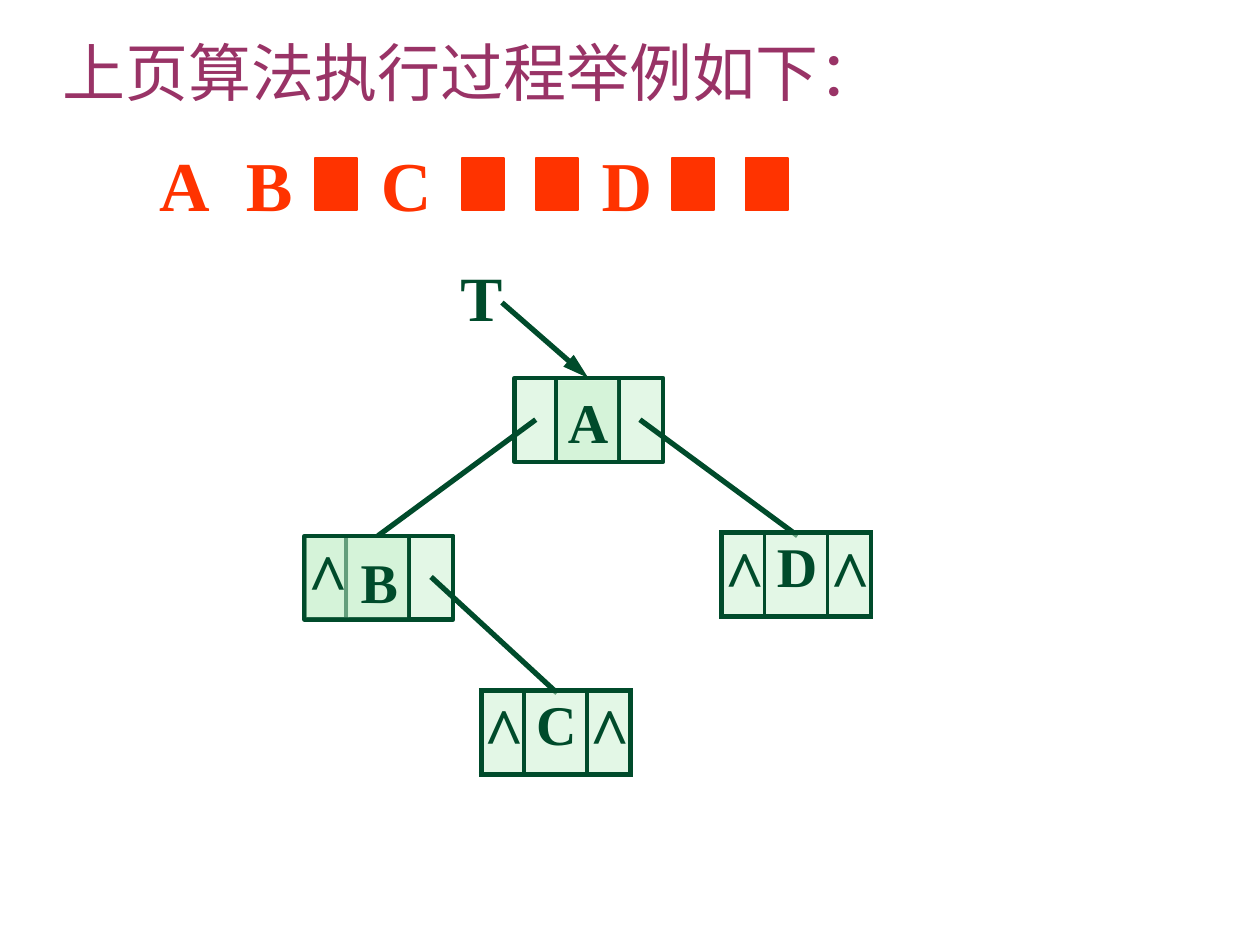
"""Build the slide that traces the creation of a binary linked tree."""
from dataclasses import dataclass
from typing import NamedTuple, Optional

from lxml.etree import SubElement
from pptx import Presentation
from pptx.dml.color import RGBColor as Rgb
from pptx.enum.shapes import MSO_CONNECTOR as Connector, MSO_SHAPE as Preset
from pptx.enum.text import MSO_ANCHOR as Anchor
from pptx.oxml.ns import qn
from pptx.util import Cm, Pt


@dataclass(frozen=True)
class Theme:
    """Colours, fonts and type sizes of the slide."""
    heading: str = "993366"
    sequence: str = "FF3300"
    ink: str = "004B2B"
    cell: str = "C9F1CE"
    cell_alpha: int = 50000
    serif: str = "Times New Roman"
    sans: str = "Noto Sans CJK SC"
    large: int = 40
    medium: int = 36
    small: int = 32


class Box(NamedTuple):
    """A rectangle in centimetres."""
    left: float
    top: float
    width: float
    height: float

    def lengths(self) -> list:
        """Give the four sides as lengths."""
        return [Cm(side) for side in self]


class PointerNode(NamedTuple):
    """A tree node with at least one child."""
    letter: str
    left: float
    top: float
    indent: float
    rise: float
    empty_left: bool


class Leaf(NamedTuple):
    """A tree node whose two pointers are empty."""
    letter: str
    left: float
    top: float


class Link(NamedTuple):
    """A line from one point to another in centimetres."""
    x1: float
    y1: float
    x2: float
    y2: float


THEME = Theme()
EMPTY = "^"
NODE_WIDTH, NODE_HEIGHT = 3.0, 1.69
DIVIDERS = (0.84, 2.11)
LEAF_COLUMNS = (0.86, 1.27, 0.88)
BLANK_MARKS = (6.35, 9.31, 10.8, 13.55, 15.03)
SEQUENCE_TABS = (1.75, 4.47, 8.92)
POINTER_NODES = (
    PointerNode("A", 10.37, 7.62, 0.2, 0.15, False),
    PointerNode("B", 6.14, 10.8, 0.25, 0.18, True),
)
LEAVES = (Leaf("C", 9.7, 13.92), Leaf("D", 14.55, 10.74))
LINKS = (
    Link(10.8, 8.46, 7.62, 10.8),
    Link(8.69, 11.63, 11.23, 13.97),
    Link(12.9, 8.46, 16.08, 10.8),
)


def write(frame, text: str, *, size: int, color: str = THEME.ink, font: str = THEME.serif,
          bold: bool = True, exact: Optional[float] = None, tabs: tuple = ()) -> None:
    """Put one formatted line of text into a text frame."""
    paragraph = frame.paragraphs[0]
    if tabs:
        tab_list = SubElement(paragraph._p.get_or_add_pPr(), qn("a:tabLst"))
        for stop in tabs:
            SubElement(tab_list, qn("a:tab"), pos=str(int(Cm(stop))), algn="l")
    if exact:
        paragraph.line_spacing = Pt(exact)
    run = paragraph.add_run()
    run.text = text
    run.font.name, run.font.size, run.font.bold = font, Pt(size), bold
    run.font.color.rgb = Rgb.from_string(color)
    SubElement(run._r.get_or_add_rPr(), qn("a:ea"), typeface=font)


def set_insets(holder, left: float, top: float, anchor=Anchor.TOP) -> None:
    """Set the margins and anchor of a text frame or table cell."""
    holder.margin_left, holder.margin_top = Cm(left), Cm(top)
    holder.margin_right = holder.margin_bottom = 0
    holder.vertical_anchor = anchor


def tint(filled, properties) -> None:
    """Fill a shape or cell with the half-transparent cell colour."""
    filled.fill.solid()
    filled.fill.fore_color.rgb = Rgb.from_string(THEME.cell)
    color = properties.find(qn("a:solidFill")).find(qn("a:srgbClr"))
    SubElement(color, qn("a:alpha"), val=str(THEME.cell_alpha))


def add_label(slide, box: Box, text: str, **style) -> None:
    """Add a text box whose line sits on its lower edge."""
    frame = slide.shapes.add_textbox(*box.lengths()).text_frame
    frame.word_wrap = True
    set_insets(frame, 0.03, 0.03, Anchor.BOTTOM)
    write(frame, text, **style)


def add_rect(slide, box: Box):
    """Add a rectangle without shadow or outline."""
    rect = slide.shapes.add_shape(Preset.RECTANGLE, *box.lengths())
    rect.shadow.inherit = False
    rect.line.fill.background()
    return rect


def add_field(slide, box: Box):
    """Add a tinted rectangle."""
    field = add_rect(slide, box)
    tint(field, field._element.spPr)
    return field


def outline(shape, color: str, width: float) -> None:
    """Give a shape or connector a solid line."""
    shape.line.color.rgb = Rgb.from_string(color)
    shape.line.width = Pt(width)


def add_line(slide, link: Link, width: float = 3, arrow: bool = False) -> None:
    """Add a straight line, with an arrowhead if asked."""
    line = slide.shapes.add_connector(Connector.STRAIGHT, *[Cm(value) for value in link])
    outline(line, THEME.ink, width)
    if arrow:
        SubElement(line.line._get_or_add_ln(), qn("a:tailEnd"), type="triangle", w="med", len="lg")
    SubElement(line._element.spPr, qn("a:effectLst"))


def add_blank_mark(slide, left: float) -> None:
    """Add a solid block that stands for a blank in the sequence."""
    mark = add_rect(slide, Box(left, 3.18, 0.85, 1.06))
    mark.fill.solid()
    mark.fill.fore_color.rgb = Rgb.from_string(THEME.sequence)
    outline(mark, THEME.sequence, 1)


def add_pointer_node(slide, node: PointerNode) -> None:
    """Add a three-part node with its letter and any empty left pointer."""
    frame = add_field(slide, Box(node.left, node.top, NODE_WIDTH, NODE_HEIGHT))
    outline(frame, THEME.ink, 2.5)
    parts = [(node.letter, 0.88, 1.19, node.indent, node.rise, THEME.small, None)]
    if node.empty_left:
        parts.append((EMPTY, 0.03, 0.86, 0.03, 0.2, THEME.large, 39.8))
    for offset in DIVIDERS:
        x = node.left + offset
        add_line(slide, Link(x, node.top, x, node.top + NODE_HEIGHT), 2.25)
    for text, offset, width, indent, rise, size, exact in parts:
        field = add_field(slide, Box(node.left + offset, node.top + 0.05, width, 1.6))
        field.text_frame.word_wrap = True
        field.text_frame.paragraphs[0].alignment = 1
        set_insets(field.text_frame, indent, rise)
        write(field.text_frame, text, size=size, exact=exact)


def add_leaf(slide, leaf: Leaf) -> None:
    """Add a leaf as a one-row table."""
    box = Box(leaf.left, leaf.top, sum(LEAF_COLUMNS), NODE_HEIGHT)
    table = slide.shapes.add_table(1, len(LEAF_COLUMNS), *box.lengths()).table
    table.first_row = table.horz_banding = False
    table.rows[0].height = Cm(NODE_HEIGHT)
    last = len(LEAF_COLUMNS) - 1
    for column, (width, text) in enumerate(zip(LEAF_COLUMNS, (EMPTY, leaf.letter, EMPTY))):
        table.columns[column].width = Cm(width)
        cell = table.cell(0, column)
        properties = cell._tc.get_or_add_tcPr()
        borders = {"a:lnL": 2.25 if column else 3, "a:lnR": 3 if column == last else 2.25,
                   "a:lnT": 3, "a:lnB": 3}
        for side, weight in borders.items():
            border = SubElement(properties, qn(side), w=str(int(Pt(weight))))
            SubElement(SubElement(border, qn("a:solidFill")), qn("a:srgbClr"), val=THEME.ink)
        tint(cell, properties)
        if text == EMPTY:
            set_insets(cell, 0.05, 0.25)
            write(cell.text_frame, text, size=THEME.large, exact=40)
        else:
            set_insets(cell, 0.25, 0.1)
            write(cell.text_frame, text, size=THEME.small)


def main() -> None:
    """Build and save the slide."""
    deck = Presentation()
    deck.slide_width, deck.slide_height = Cm(25.4), Cm(19.05)
    slide = deck.slides.add_slide(deck.slide_layouts[6])
    for left in BLANK_MARKS:
        add_blank_mark(slide, left)
    add_label(slide, Box(3.18, 2.79, 10.2, 1.75), "A\tB\tC\tD", size=THEME.large,
              color=THEME.sequence, tabs=SEQUENCE_TABS)
    add_label(slide, Box(1.24, 0.61, 16.8, 1.6), "上页算法执行过程举例如下：", size=THEME.medium,
              color=THEME.heading, font=THEME.sans, bold=False)
    add_label(slide, Box(9.25, 5.13, 0.95, 1.6), "T", size=THEME.medium)
    for node in POINTER_NODES:
        add_pointer_node(slide, node)
    add_line(slide, Link(10.12, 6.1, 11.86, 7.62), arrow=True)
    for link in LINKS:
        add_line(slide, link)
    for leaf in LEAVES:
        add_leaf(slide, leaf)
    deck.save("out.pptx")


if __name__ == "__main__":
    main()
